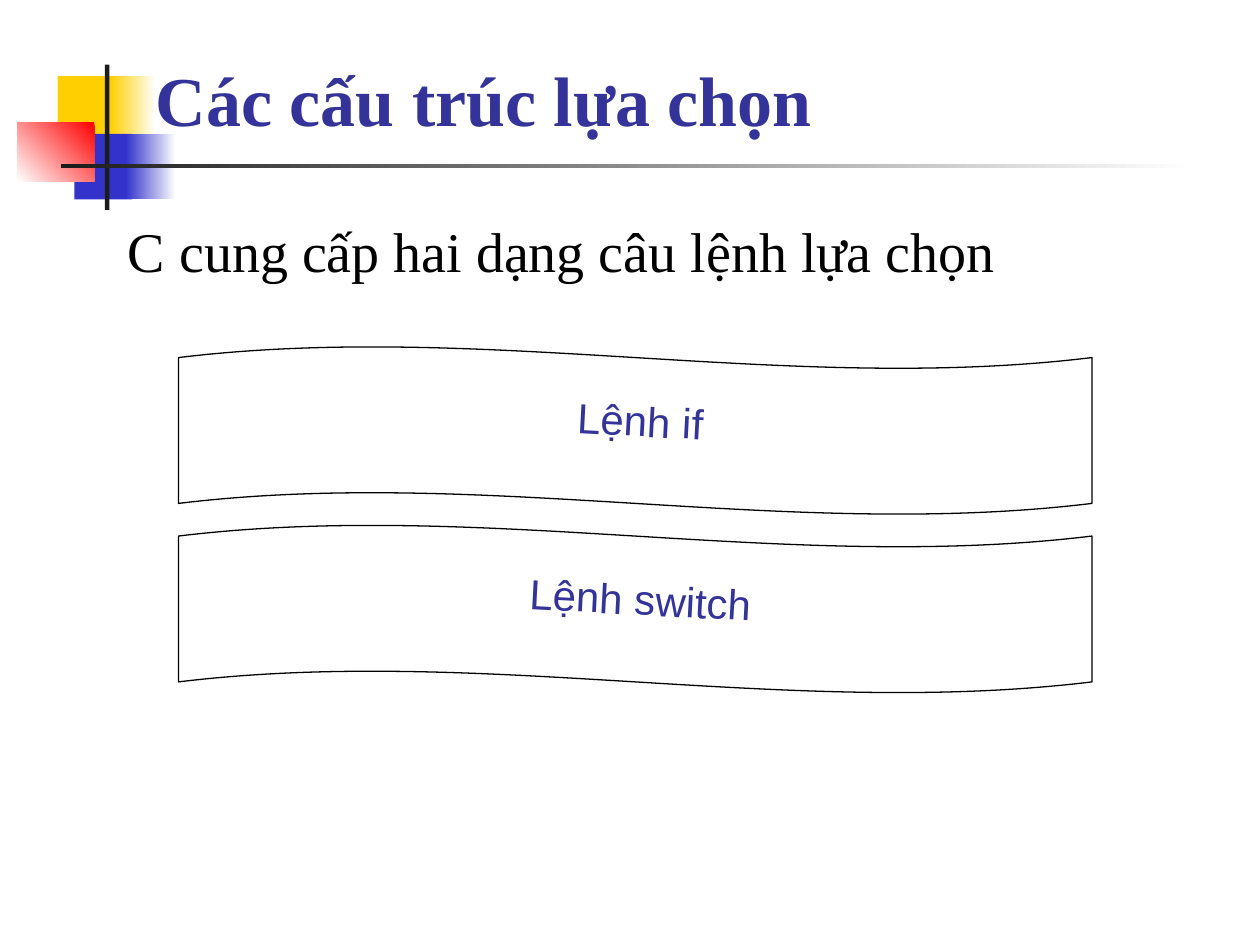
from pptx import Presentation
from pptx.dml.color import RGBColor
from pptx.enum.shapes import MSO_SHAPE
from pptx.enum.text import MSO_ANCHOR, PP_ALIGN
from pptx.util import Pt

RECT, WAVE = MSO_SHAPE.RECTANGLE, MSO_SHAPE.WAVE
TOP, BOTTOM = MSO_ANCHOR.TOP, MSO_ANCHOR.BOTTOM
LEFT, CENTER = PP_ALIGN.LEFT, PP_ALIGN.CENTER
SERIF, SANS = "Times New Roman", "Arial"
COLORS = {
    "white": "FFFFFF", "black": "000000", "dark": "1C1C1C", "gold": "FFCF01",
    "blue": "3333CC", "red": "FF0000", "navy": "333399",
}


def color(name):
    return RGBColor.from_string(COLORS[name])


def add_shape(slide, kind, box):
    shape = slide.shapes.add_shape(kind, *map(Pt, box))
    shape.shadow.inherit = False
    return shape


def add_block(slide, box, fill):
    block = add_shape(slide, RECT, box)
    block.fill.solid()
    block.fill.fore_color.rgb = color(fill)
    block.line.fill.background()


def add_fade(slide, box, start, end, angle=180):
    """Add a borderless gradient block; the angle runs counter-clockwise."""
    block = add_shape(slide, RECT, box)
    block.fill.gradient()
    block.fill.gradient_angle = angle
    for stop, name in zip(block.fill.gradient_stops, (start, end)):
        stop.color.rgb = color(name)
    block.line.fill.background()


def add_wave(slide, box):
    wave = add_shape(slide, WAVE, box)
    wave.adjustments[0] = 0.066
    wave.fill.background()
    wave.line.color.rgb = color("black")
    wave.line.width = Pt(0.75)


def add_text(slide, box, text, size, font, ink, bold=False,
             anchor=TOP, align=LEFT, turn=0):
    label = slide.shapes.add_textbox(*map(Pt, box))
    label.rotation = turn
    frame = label.text_frame
    frame.word_wrap = True
    frame.vertical_anchor = anchor
    frame.text = text
    para = frame.paragraphs[0]
    para.alignment = align
    style = para.runs[0].font
    style.name, style.size, style.bold = font, Pt(size), bold
    style.color.rgb = color(ink)


def add_motif(slide):
    """Add the coloured squares and the crossing rules beside the title."""
    add_block(slide, (33, 43.5, 35, 37.5), "gold")
    add_fade(slide, (63, 43.5, 26, 37.5), "white", "gold")
    add_block(slide, (42.5, 76.5, 33, 37.5), "blue")
    add_fade(slide, (72, 76.5, 28.5, 37.5), "white", "blue")
    add_fade(slide, (10, 70, 44, 33.5), "red", "white", 225)
    add_block(slide, (60, 37, 2.5, 83), "dark")
    add_fade(slide, (35, 93.5, 648, 2.5), "white", "dark")


def main():
    deck = Presentation()
    deck.slide_width, deck.slide_height = Pt(720), Pt(540)
    slide = deck.slides.add_slide(deck.slide_layouts[6])
    add_motif(slide)
    add_text(slide, (82, 18, 560, 66), "Các cấu trúc lựa chọn",
             40, SERIF, "navy", bold=True, anchor=BOTTOM)
    add_text(slide, (66, 120, 618, 66),
             "C cung cấp hai dạng câu lệnh lựa chọn", 32, SERIF, "black")
    labels = (("Lệnh if", (209.5, 222, 312.5, 43)),
              ("Lệnh switch", (191.5, 324, 348, 54)))
    for row, (text, box) in enumerate(labels):
        add_wave(slide, (102, 198 + 102 * row, 522, 96))
        add_text(slide, box, text, 24, SANS, "navy", align=CENTER, turn=3)
    deck.save("out.pptx")


if __name__ == "__main__":
    main()
